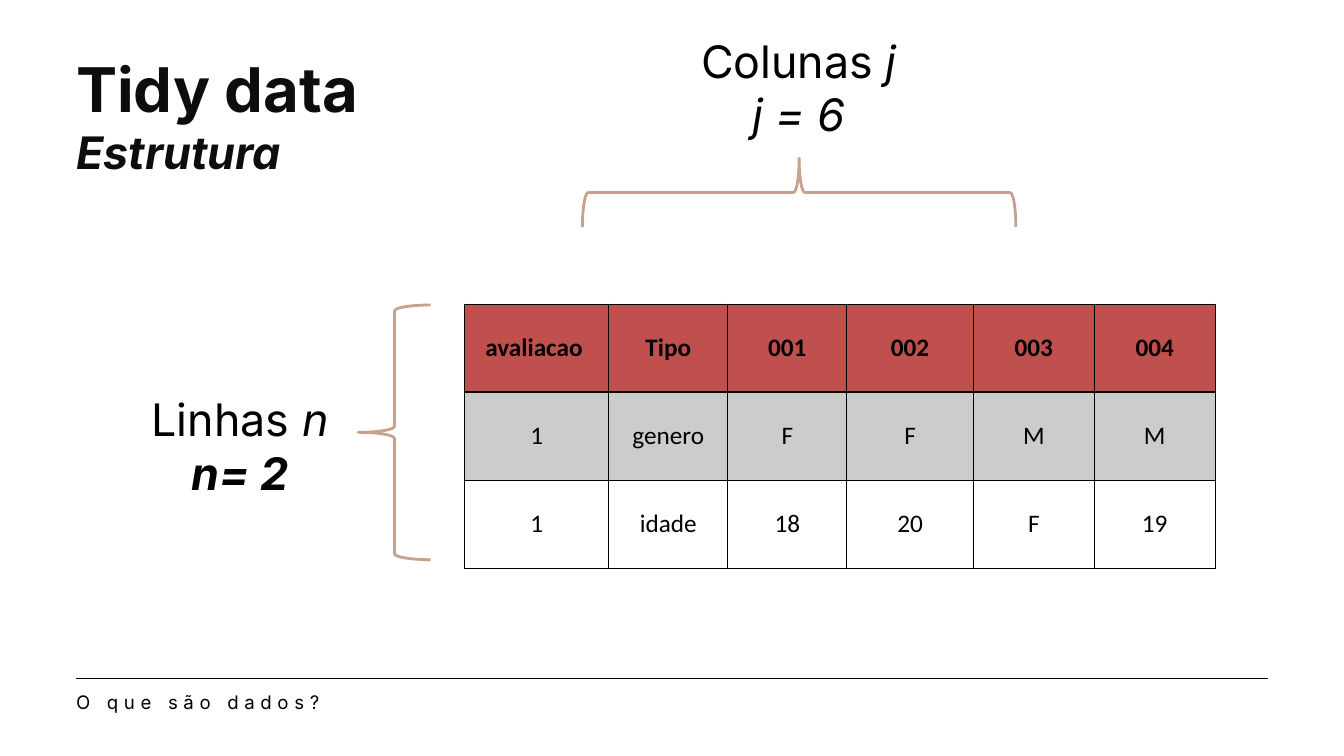
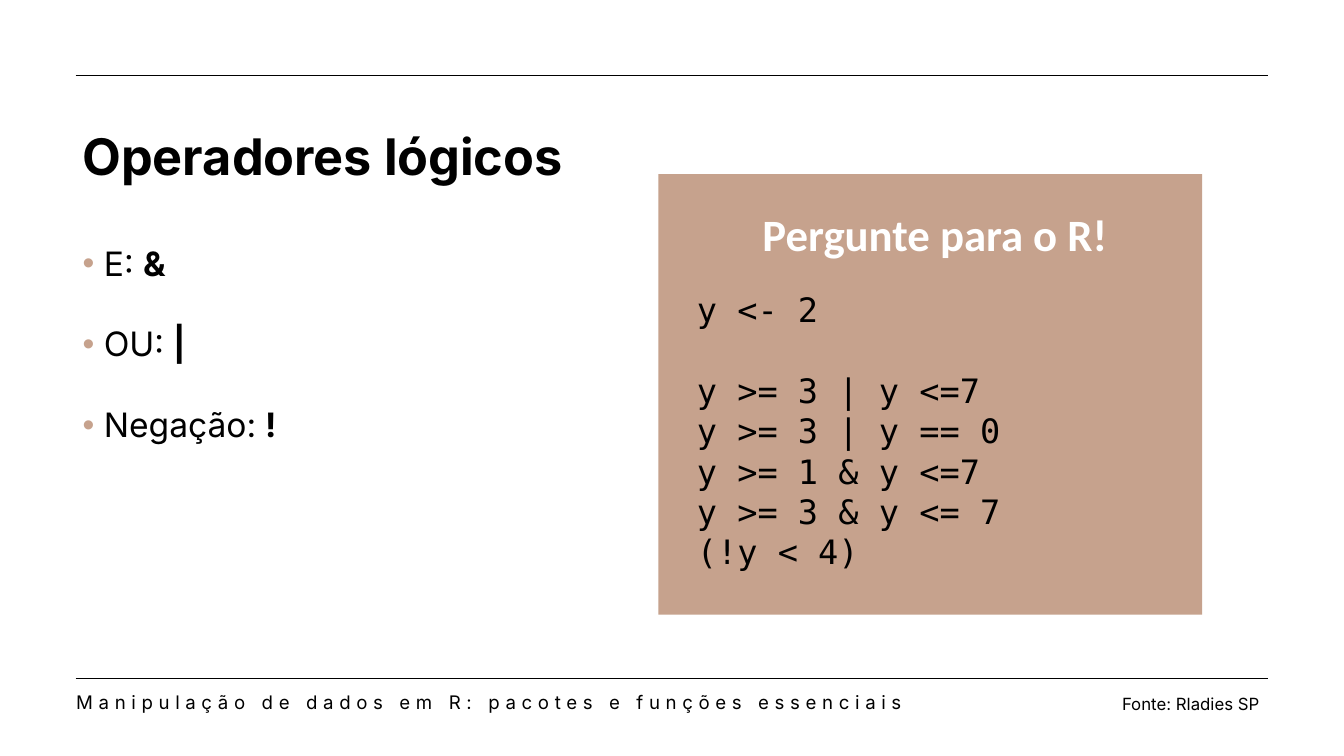
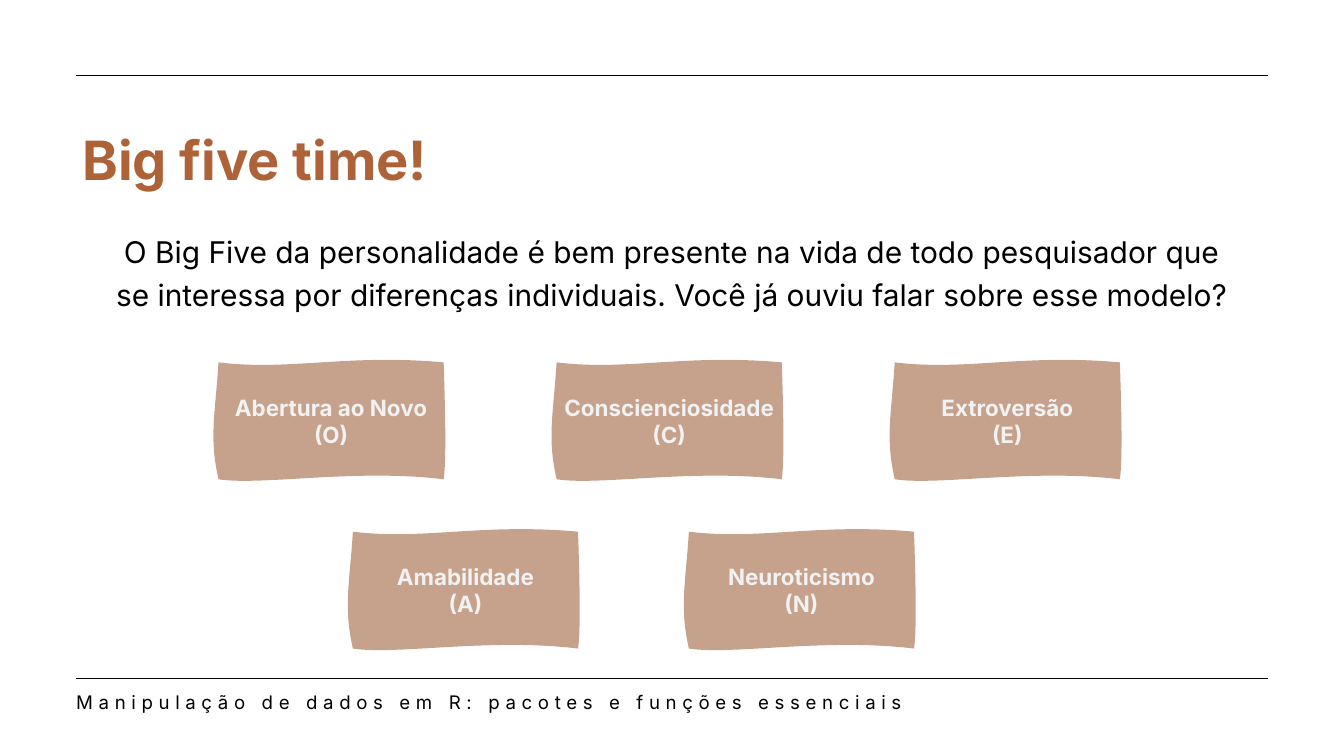
from lxml.etree import SubElement as Sub
from pptx import Presentation
from pptx.dml.color import RGBColor as Rgb
from pptx.enum.shapes import MSO_CONNECTOR as Link, MSO_SHAPE as Form
from pptx.enum.text import MSO_ANCHOR as Anchor, MSO_AUTO_SIZE as Fit, PP_ALIGN as Align
from pptx.oxml.ns import qn
from pptx.util import Cm, Pt

# Shared look
BLACK, INK, WHITE, PALE = "000000", "0D0D0D", "FFFFFF", "F2F2F2"
SAND, RUST, RED = "C6A28D", "AD6237", "C0504D"
SANS, TABLE, CODE = "Inter", "Calibri", "DejaVu Sans Mono"
LEFT, RIGHT, TOP, BASE = 2.86, 47.94, 2.86, 25.66
COURSE = "Manipulação de dados em R: pacotes e funções essenciais"

# Wavy card: each curve has two control points and an end, in cm
WAVE = [
    ((2.67, 0.33), (4.84, -0.33), (8.51, 0)),
    ((8.53, 0.71), (8.64, 3.56), (8.51, 4.42)),
    ((5.16, 4.01), (1.65, 4.67), (0, 4.42)),
    ((-0.36, 2.84), (-0.13, 2.01), (0, 0)),
]


def tint(code):
    return Rgb.from_string(code)


def place(shape, box):
    shape.left, shape.top, shape.width, shape.height = map(Cm, box)


def write(frame, lines, size, font=SANS, color=BLACK, align=Align.LEFT,
          bold=False, inset=True, anchor=Anchor.TOP):
    """A line is a string or a list of (text, marks), with marks "b" and "i"."""
    frame.word_wrap = True
    frame.auto_size = Fit.NONE
    frame.vertical_anchor = anchor
    if not inset:
        frame.margin_left = frame.margin_right = 0
        frame.margin_top = frame.margin_bottom = 0
    for num, line in enumerate(lines):
        para = frame.add_paragraph() if num else frame.paragraphs[0]
        parts = [(line, "")] if isinstance(line, str) else line
        para.text = parts[0][0]
        for text, _ in parts[1:]:
            para.add_run().text = text
        para.alignment = align
        para.space_before = Pt(0)
        for run, (_, marks) in zip(para.runs, parts):
            run.font.name, run.font.size = font, Pt(size)
            run.font.color.rgb = tint(color)
            run.font.bold = bold or "b" in marks
            run.font.italic = "i" in marks
    return frame.paragraphs


def add_text(slide, box, lines, size, **look):
    area = slide.shapes.add_textbox(*map(Cm, box))
    return write(area.text_frame, lines, size, **look)


def set_title(slide, box, lines, size, **look):
    place(slide.shapes.title, box)
    look = {"anchor": Anchor.MIDDLE, **look}
    return write(slide.shapes.title.text_frame, lines, size, bold=True, **look)


def set_body(slide, box, lines, size, **look):
    body = slide.placeholders[1]
    place(body, box)
    return write(body.text_frame, lines, size, **look)


def set_bullet(para, indent=0, sign=None):
    props = para._p.get_or_add_pPr()
    props.set("marL", str(Cm(indent)))
    props.set("indent", str(-Cm(indent)))
    if sign:
        shade = Sub(props, qn("a:buClr"))
        Sub(shade, qn("a:srgbClr"), val=SAND)
        Sub(props, qn("a:buChar"), char=sign)
    else:
        Sub(props, qn("a:buNone"))


def add_rule(slide, y):
    rule = slide.shapes.add_connector(
        Link.STRAIGHT, Cm(LEFT), Cm(y), Cm(RIGHT), Cm(y))
    rule.line.color.rgb = tint(BLACK)
    rule.line.width = Pt(1.5)
    Sub(rule._element.spPr, qn("a:effectLst"))


def add_slide(deck, layout, footer, top=True):
    slide = deck.slides.add_slide(deck.slide_layouts[layout])
    add_rule(slide, BASE)
    if top:
        add_rule(slide, TOP)
    para = add_text(slide, (2.88, 25.98, 32.28, 0.91), [footer], 20, inset=False)[0]
    para.line_spacing = Pt(28)
    para.runs[0].font._element.set("spc", "600")
    return slide


def paint(shape, color):
    shape.shadow.inherit = False
    shape.fill.solid()
    shape.fill.fore_color.rgb = tint(color)
    shape.line.fill.background()


def add_brace(slide, box, turn=0):
    brace = slide.shapes.add_shape(Form.LEFT_BRACE, *map(Cm, box))
    brace.rotation = turn
    brace.shadow.inherit = False
    brace.fill.background()
    brace.line.color.rgb = tint(SAND)
    brace.line.width = Pt(3)


def add_edge(cell, side, width):
    edge = Sub(cell._tc.get_or_add_tcPr(), qn("a:ln" + side), w=str(Pt(width)))
    Sub(Sub(edge, qn("a:solidFill")), qn("a:srgbClr"), val=BLACK)


def fill_cell(cell, color, alpha):
    if not color:
        cell.fill.background()
        return
    cell.fill.solid()
    cell.fill.fore_color.rgb = tint(color)
    if alpha < 100:
        shade = cell._tc.tcPr.find(qn("a:solidFill")).find(qn("a:srgbClr"))
        Sub(shade, qn("a:alpha"), val=str(alpha * 1000))


def add_grid(slide, spot, widths, tall, rows, fills):
    size = (sum(widths), tall * len(rows))
    grid = slide.shapes.add_table(
        len(rows), len(widths), *map(Cm, spot + size)).table
    grid.first_row = grid.horz_banding = False
    for col, width in zip(grid.columns, widths):
        col.width = Cm(width)
    for num, (row, texts) in enumerate(zip(grid.rows, rows)):
        row.height = Cm(tall)
        for cell, text in zip(row.cells, texts):
            cell.margin_left = cell.margin_right = Cm(0.38)
            cell.margin_top = cell.margin_bottom = Cm(0.18)
            cell.vertical_anchor = Anchor.MIDDLE
            para = cell.text_frame.paragraphs[0]
            para.text = text
            para.alignment = Align.CENTER
            font = para.runs[0].font
            font.name, font.size, font.bold = TABLE, Pt(27), num == 0
            font.color.rgb = tint(BLACK)
            # The rule under the header is thicker
            for side in "LRTB":
                thick = (num, side) in [(0, "B"), (1, "T")]
                add_edge(cell, side, 2 if thick else 1)
            fill_cell(cell, *fills[num])


def add_card(slide, x, y, lines):
    pen = slide.shapes.build_freeform(Cm(x), Cm(y))
    pen.add_line_segments(
        [(Cm(x + dx), Cm(y + dy)) for _, _, (dx, dy) in WAVE], close=True)
    card = pen.convert_to_shape()
    # Bend the four straight sides
    sides = list(card._element.iter(qn("a:lnTo")))
    for side, curve in zip(sides, WAVE):
        side.tag = qn("a:cubicBezTo")
        side.remove(side[0])
        for dx, dy in curve:
            Sub(side, qn("a:pt"), x=str(Cm(dx)), y=str(Cm(dy)))
    paint(card, SAND)
    write(card.text_frame, lines, 24, color=PALE, bold=True,
          align=Align.CENTER, anchor=Anchor.MIDDLE)


def show_tidy(deck):
    slide = add_slide(deck, 5, "O que são dados?", top=False)
    paras = set_title(slide, (2.88, 1.93, 16.36, 4.88),
                      ["Tidy data", [("Estrutura", "i")]], 66,
                      color=INK, inset=False, anchor=Anchor.TOP)
    paras[1].runs[0].font.size = Pt(48)
    rows = [
        ("avaliacao ", "Tipo", "001", "002", "003", "004"),
        ("1", "genero", "F", "F", "M", "M"),
        ("1", "idade", "18", "20", "F", "19"),
    ]
    add_grid(slide, (17.57, 11.49), (5.44, 4.5, 4.5, 4.78, 4.57, 4.57),
             3.33, rows, [(RED, 100), (BLACK, 20), (None, 0)])
    # Labels and braces for rows and columns
    add_text(slide, (4.67, 14.68, 8.81, 4.37),
             [[("Linhas ", ""), ("n", "i")], [("n= 2", "bi")]], 48,
             align=Align.CENTER)
    add_text(slide, (25.79, 1.14, 8.81, 4.37),
             [[("Colunas ", ""), ("j", "i")], [("j = 6", "i")]], 48,
             align=Align.CENTER)
    add_brace(slide, (13.54, 11.53, 2.74, 9.63))
    add_brace(slide, (28.91, -0.91, 2.59, 16.38), turn=90)


def show_logic(deck):
    slide = add_slide(deck, 1, COURSE)
    set_title(slide, (2.86, 3.45, 40.51, 4.83), ["Operadores lógicos"], 54)
    signs = [("E: ", "&"), ("OU: ", "|"), ("Negação: ", "!")]
    paras = set_body(slide, (2.87, 9.04, 25.6, 9.5),
                     [[(name, ""), (sign, "b")] for name, sign in signs], 36)
    for num, para in enumerate(paras):
        set_bullet(para, 0.8, "•")
        para.space_before = Pt(43.5 if num else 0)
    # Code panel
    panel = slide.shapes.add_shape(
        Form.RECTANGLE, *map(Cm, (24.89, 6.58, 20.55, 16.66)))
    paint(panel, SAND)
    add_text(slide, (26.64, 7.7, 17.4, 2.31), ["Pergunte para o R!"], 48,
             font=TABLE, color=WHITE, bold=True, align=Align.CENTER)
    code = ["y <- 2", "y >= 3 | y <=7", "y >= 3 | y == 0",
            "y >= 1 & y <=7", "y >= 3 & y <= 7", "(!y < 4)"]
    paras = add_text(slide, (26.09, 10.8, 18.11, 11.02), code, 36, font=CODE)
    paras[1].space_before = Pt(43.5)
    add_text(slide, (42.16, 26.11, 6.1, 1.02), ["Fonte: Rladies SP"], 18)


def show_five(deck):
    slide = add_slide(deck, 1, COURSE)
    set_title(slide, (2.86, 4.19, 40.51, 3.66), ["Big five time!"], 58, color=RUST)
    para = set_body(slide, (3.84, 8.43, 43.13, 4.78), [
        "O Big Five da personalidade é bem presente na vida de todo pesquisador "
        "que se interessa por diferenças individuais. Você já ouviu falar sobre "
        "esse modelo?"], 32, align=Align.CENTER)[0]
    set_bullet(para)
    para.line_spacing = 1.2
    # Rows of cards: left, top, pitch, texts
    rows = [
        (8.26, 13.7, 12.78, [["Abertura ao Novo (O)"],
                             ["Conscienciosidade", "(C)"],
                             ["Extroversão", "(E)"]]),
        (13.34, 20.1, 12.7, [["Amabilidade", "(A)"], ["Neuroticismo", "(N)"]]),
    ]
    for x, y, pitch, cards in rows:
        for num, lines in enumerate(cards):
            add_card(slide, x + num * pitch, y, lines)


def main():
    deck = Presentation()
    deck.slide_width, deck.slide_height = Cm(50.8), Cm(28.58)
    show_tidy(deck)
    show_logic(deck)
    show_five(deck)
    deck.save("out.pptx")


if __name__ == "__main__":
    main()
